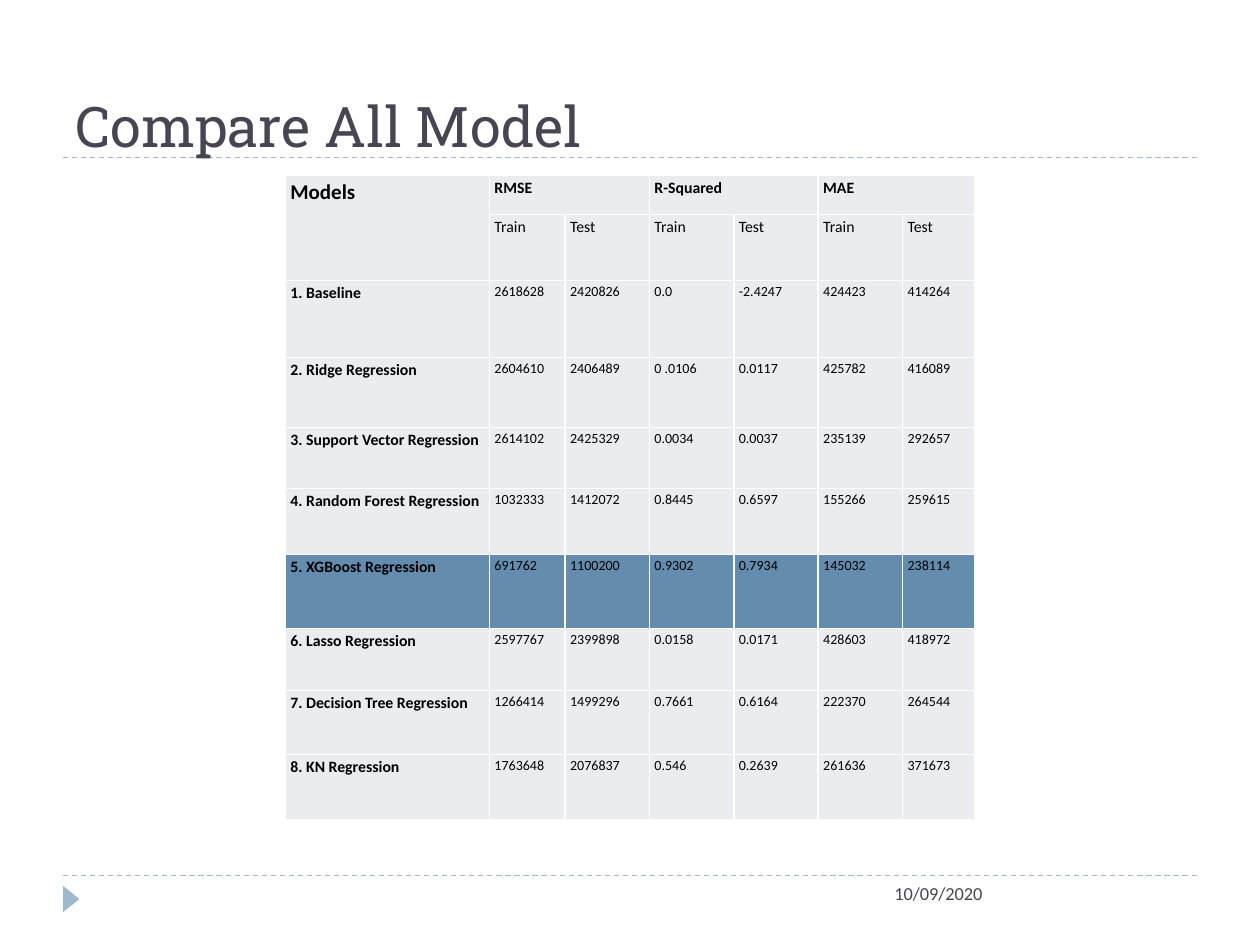
import pptx
import pptx.dml.color
import pptx.enum.dml
import pptx.enum.shapes
import pptx.enum.text
import pptx.oxml
import pptx.oxml.ns
import pptx.util

COLOURS = {
    "ink": "464653", "rule": "9FB8CD", "text": "000000",
    "cell": "EBECF0", "best": "638CAE", "border": "FFFFFF",
}
COLOURS = {name: pptx.dml.color.RGBColor.from_string(value) for name, value in COLOURS.items()}

presentation = pptx.Presentation()
presentation.slide_width = pptx.util.Inches(10)
presentation.slide_height = pptx.util.Inches(7.5)
slide = presentation.slides.add_slide(presentation.slide_layouts[6])


def place(*percents):
    """Turn alternating across and down percentages of the slide into lengths."""
    sides = (presentation.slide_width, presentation.slide_height)
    return [round(sides[i % 2] * percent / 100) for i, percent in enumerate(percents)]


def style_text(paragraph, size, colour, font="Calibri", bold=False):
    for run in paragraph.runs:
        run.font.size = pptx.util.Pt(size)
        run.font.name = font
        run.font.bold = bold
        run.font.color.rgb = COLOURS[colour]


# Dashed rules and the footer marker
for height in (16.67, 92.67):
    rule = slide.shapes.add_connector(
        pptx.enum.shapes.MSO_CONNECTOR.STRAIGHT, *place(5, height, 95, height))
    rule.line.color.rgb = COLOURS["rule"]
    rule.line.width = pptx.util.Pt(0.75)
    rule.line.dash_style = pptx.enum.dml.MSO_LINE.DASH
    rule._element.spPr.append(pptx.oxml.parse_xml(
        f'<a:effectLst {pptx.oxml.ns.nsdecls("a")}/>'))

marker = slide.shapes.add_shape(
    pptx.enum.shapes.MSO_SHAPE.ISOSCELES_TRIANGLE, *place(4.6, 94.27, 2.1, 1.73))
marker.rotation = 90
marker.shadow.inherit = False
marker.fill.solid()
marker.fill.fore_color.rgb = COLOURS["rule"]
marker.line.fill.background()

# Title and date
ANCHOR = pptx.enum.text.MSO_ANCHOR
for text, area, size, font, anchor in (
    ("Compare All Model", (5, 4, 90, 13.47), 32, "Roboto Slab", ANCHOR.BOTTOM),
    ("10/09/2020", (70, 92.67, 25, 5.33), 10.5, "Calibri", ANCHOR.TOP),
):
    text_frame = slide.shapes.add_textbox(*place(*area)).text_frame
    text_frame.word_wrap = True
    text_frame.vertical_anchor = anchor
    text_frame.text = text
    style_text(text_frame.paragraphs[0], size, "ink", font)

# Comparison table
rows = [
    ["Models", "RMSE", "", "R-Squared", "", "MAE", ""],
    [""] + ["Train", "Test"] * 3,
    ["1. Baseline", "2618628", "2420826", "0.0", "-2.4247", "424423", "414264"],
    ["2. Ridge Regression", "2604610", "2406489", "0 .0106", "0.0117", "425782", "416089"],
    ["3. Support Vector Regression", "2614102", "2425329", "0.0034", "0.0037", "235139", "292657"],
    ["4. Random Forest Regression", "1032333", "1412072", "0.8445", "0.6597", "155266", "259615"],
    ["5. XGBoost Regression", "691762", "1100200", "0.9302", "0.7934", "145032", "238114"],
    ["6. Lasso Regression", "2597767", "2399898", "0.0158", "0.0171", "428603", "418972"],
    ["7. Decision Tree Regression", "1266414", "1499296", "0.7661", "0.6164", "222370", "264544"],
    ["8. KN Regression", "1763648", "2076837", "0.546", "0.2639", "261636", "371673"],
]
best_row = 6
column_widths = [16.2, 6, 6.7, 6.7, 6.7, 6.7, 5.7]
row_heights = [4.13, 6.98, 8.15, 7.41, 6.46, 6.98, 7.83, 6.56, 6.77, 6.88]

table = slide.shapes.add_table(
    len(rows), len(column_widths),
    *place(22.65, 18.6, sum(column_widths), sum(row_heights))).table
table.horz_banding = False
table.first_row = False
for column, width in zip(table.columns, column_widths):
    column.width = place(width)[0]
for row, height in zip(table.rows, row_heights):
    row.height = place(0, height)[1]

table.cell(0, 0).merge(table.cell(1, 0))
for first in (1, 3, 5):
    table.cell(0, first).merge(table.cell(0, first + 1))

for r, values in enumerate(rows):
    for c, value in enumerate(values):
        cell = table.cell(r, c)
        cell.margin_left = cell.margin_right = pptx.util.Inches(0.04)
        cell.margin_top = cell.margin_bottom = 0
        for side in ("lnL", "lnR", "lnT", "lnB"):
            cell._tc.get_or_add_tcPr().append(pptx.oxml.parse_xml(
                f'<a:{side} {pptx.oxml.ns.nsdecls("a")} w="12700"><a:solidFill>'
                f'<a:srgbClr val="{COLOURS["border"]}"/></a:solidFill></a:{side}>'))
        cell.fill.solid()
        cell.fill.fore_color.rgb = COLOURS["best" if r == best_row else "cell"]
        if not value:
            continue
        cell.text_frame.text = value
        paragraph = cell.text_frame.paragraphs[0]
        paragraph.line_spacing = 1.15
        paragraph.space_after = pptx.util.Pt(10)
        size = 12 if r == c == 0 else 9 if r < 2 or c == 0 else 8
        style_text(paragraph, size, "text", bold=r == 0 or c == 0)

presentation.save("out.pptx")
